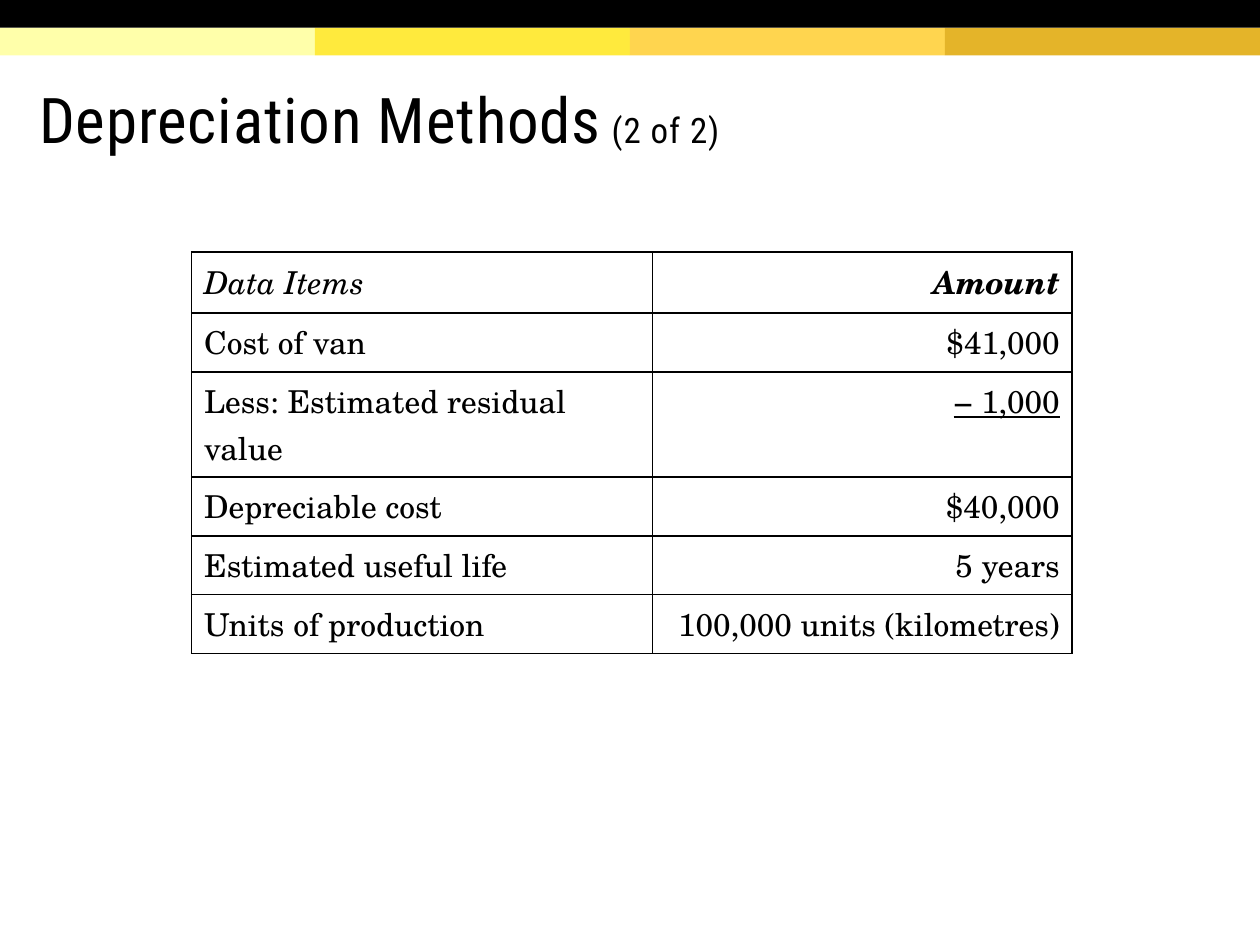
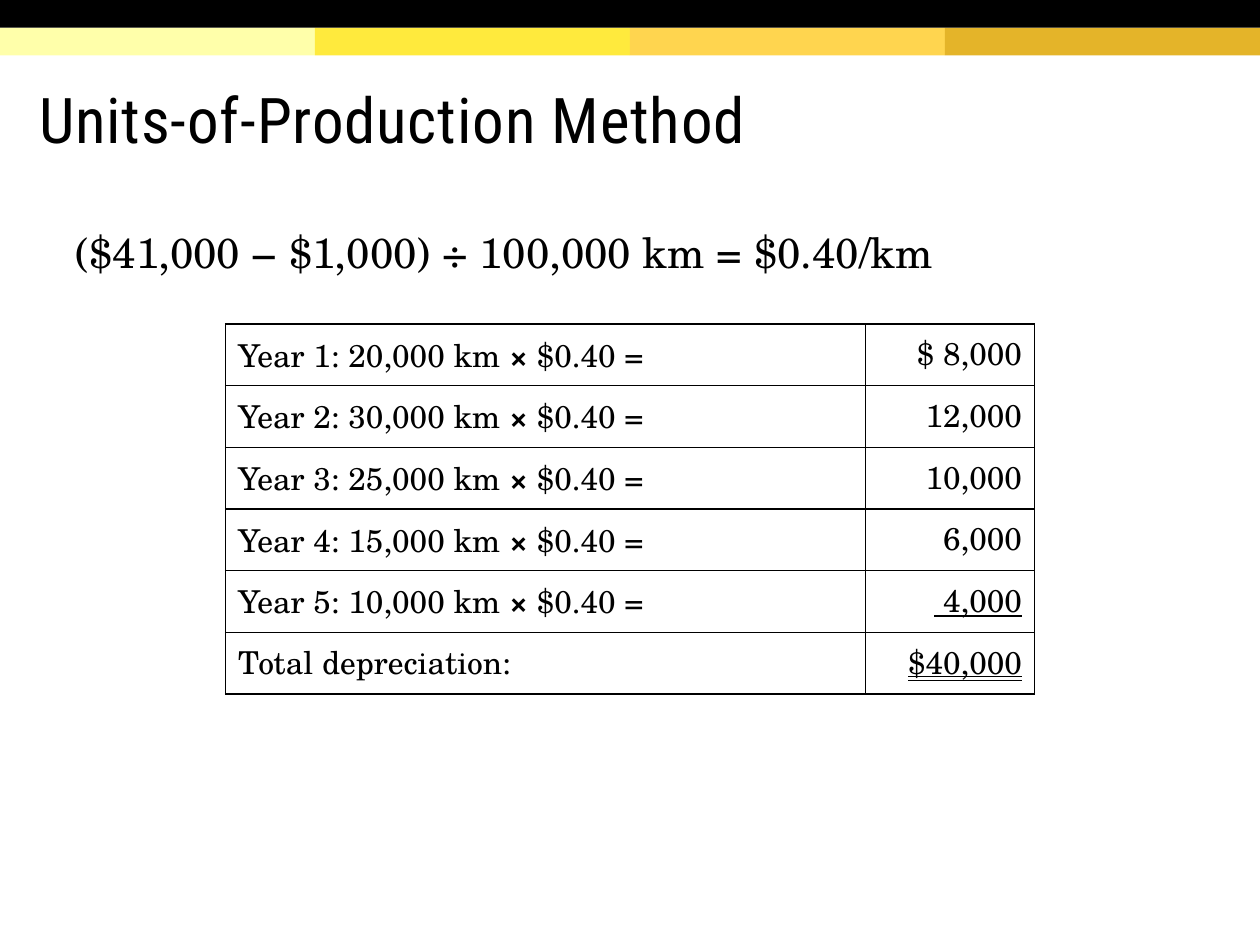
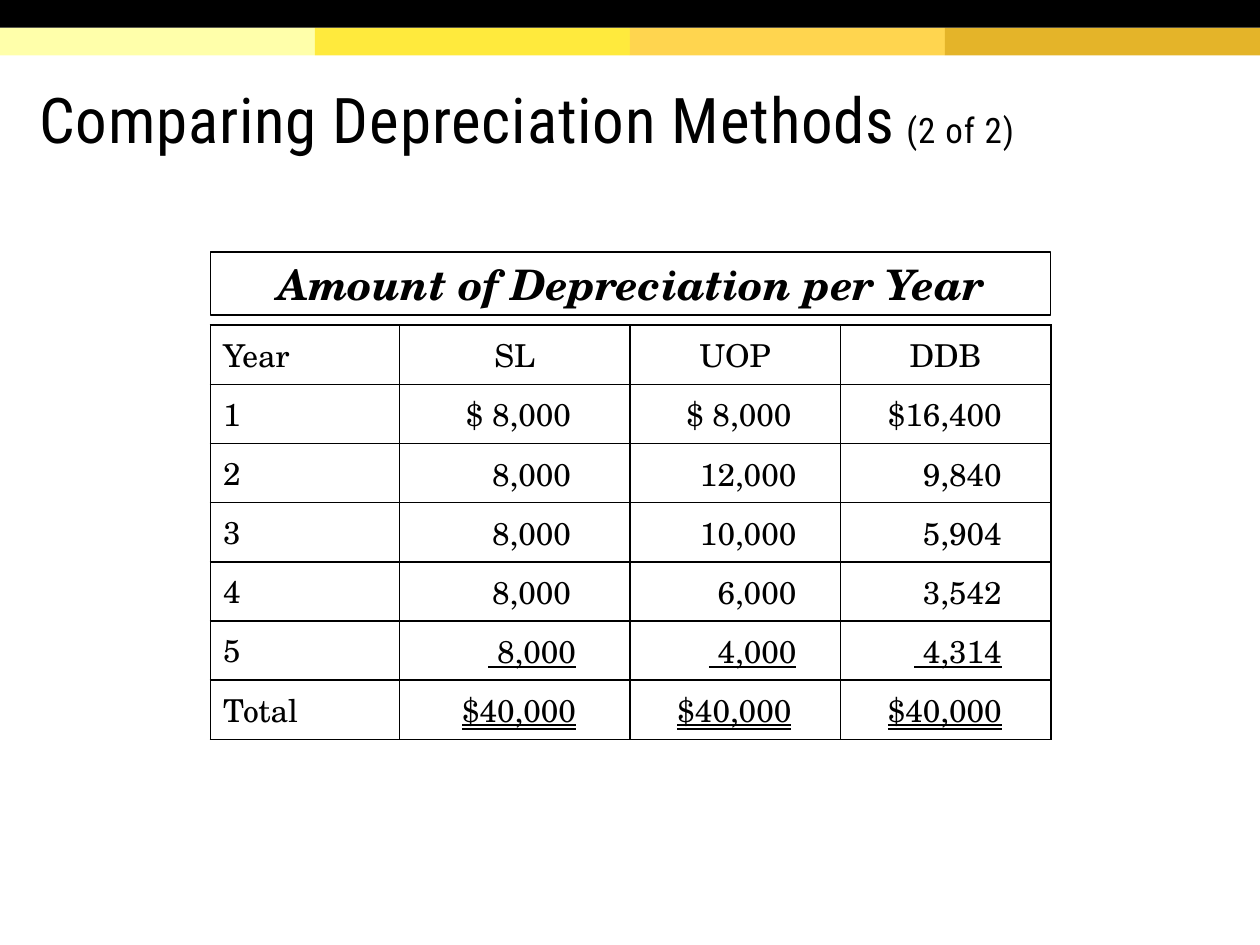
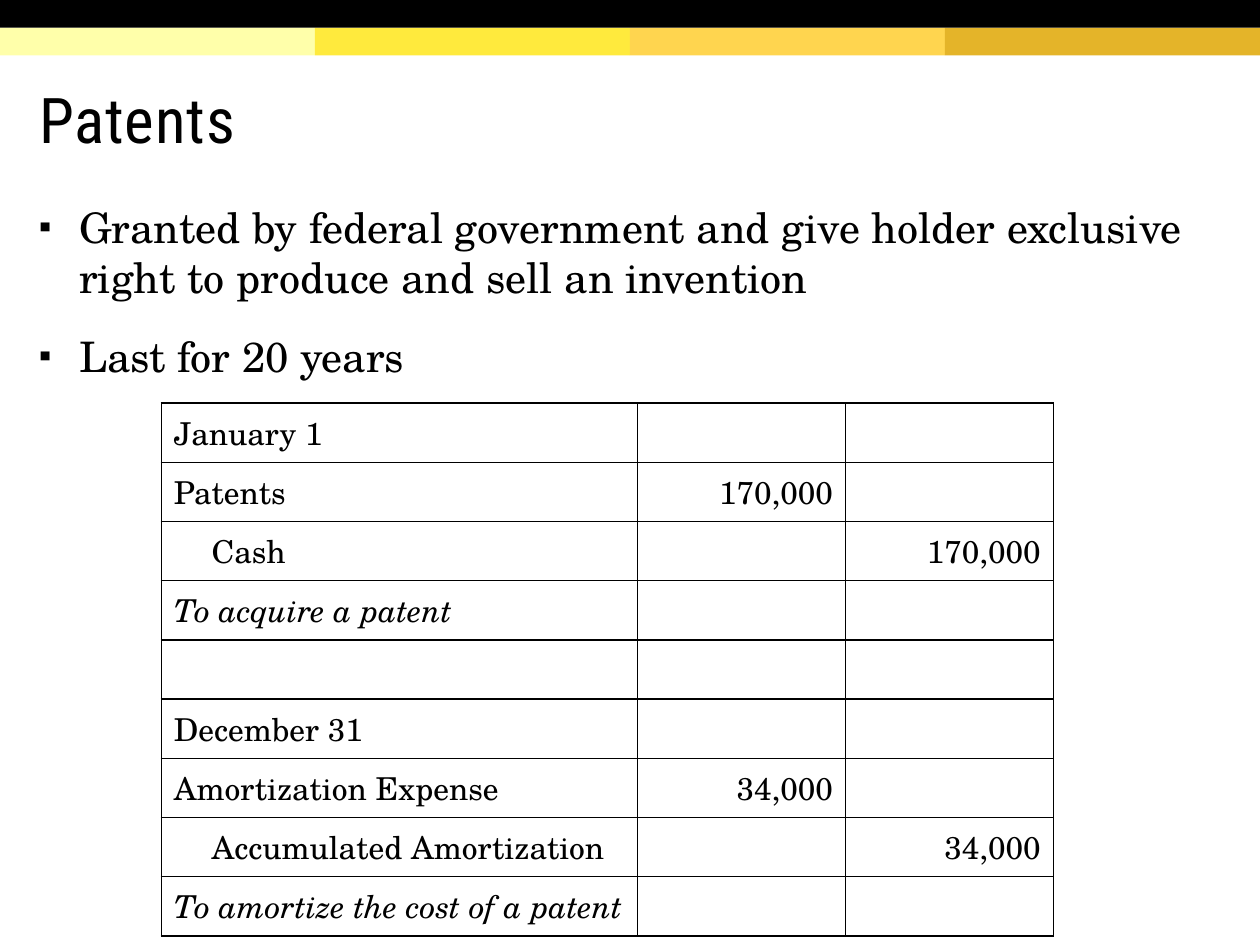
from lxml import etree
from pptx import Presentation
from pptx import util as u
from pptx.dml.color import RGBColor
from pptx.enum import shapes, text
from pptx.oxml import ns

BLACK = RGBColor(0x00, 0x00, 0x00)
BANDS = [
    RGBColor(0xFF, 0xFF, 0xAA),
    RGBColor(0xFF, 0xEA, 0x3D),
    RGBColor(0xFF, 0xD5, 0x4F),
    RGBColor(0xE4, 0xB4, 0x29),
]
TITLE_FONT = "Roboto Condensed"
BODY_FONT = "TeX Gyre Schola"
BULLET_FONT = "Arial"
LEFT, CENTER, RIGHT = text.PP_ALIGN.LEFT, text.PP_ALIGN.CENTER, text.PP_ALIGN.RIGHT
DOUBLE = text.MSO_TEXT_UNDERLINE_TYPE.DOUBLE_LINE
ITALIC = dict(italic=True)
INDENTED = dict(indent=0.3)


def write(para, content, size=18, font=BODY_FONT, color=BLACK, bold=False, italic=False,
          underline=False, tracking=0, align=LEFT, line=None, gap=None, indent=0, hanging=0):
    para.alignment = align
    if line:
        para.line_spacing = line
    if gap is not None:
        para.space_before = para.space_after = u.Pt(gap)
    if indent:
        properties = para._p.get_or_add_pPr()
        properties.set("marL", str(u.Inches(indent)))
        properties.set("indent", str(-u.Inches(hanging)))
    spans = [(content, {})] if isinstance(content, str) else content
    for words, changes in spans:
        span = para.add_run()
        span.text = words
        style = span.font
        style.name = font
        style.size = u.Pt(changes.get("size", size))
        style.bold = changes.get("bold", bold)
        style.italic = italic
        style.underline = underline
        style.color.rgb = color
        if tracking:
            span._r.get_or_add_rPr().set("spc", str(int(tracking * 100)))


def add_bullet(para):
    properties = para._p.get_or_add_pPr()
    color = etree.SubElement(properties, ns.qn("a:buClr"))
    etree.SubElement(color, ns.qn("a:srgbClr"), val=str(BLACK))
    etree.SubElement(properties, ns.qn("a:buSzPct"), val="85000")
    etree.SubElement(properties, ns.qn("a:buFont"), typeface=BULLET_FONT)
    etree.SubElement(properties, ns.qn("a:buChar"), char="▪")


def add_borders(cell):
    properties = cell._tc.get_or_add_tcPr()
    for position, side in enumerate(("lnL", "lnR", "lnT", "lnB")):
        border = etree.Element(ns.qn(f"a:{side}"), w=str(u.Pt(1)))
        fill = etree.SubElement(border, ns.qn("a:solidFill"))
        etree.SubElement(fill, ns.qn("a:srgbClr"), val=str(BLACK))
        properties.insert(position, border)


class Lecture:
    def __init__(self):
        self.deck = Presentation()
        self.deck.slide_width = u.Inches(10)
        self.deck.slide_height = u.Inches(7.5)
        self.page = None

    def start(self, title, part=None):
        self.page = self.deck.slides.add_slide(self.deck.slide_layouts[5])
        for index, color in enumerate(BANDS):
            self.band(2.5 * index, 0.22, 2.5, color)
        self.band(0, 0, 10, BLACK)
        box = self.page.shapes.title
        box.left, box.top = u.Inches(0.21), u.Inches(0.47)
        box.width, box.height = u.Inches(9.49), u.Inches(0.98)
        frame = box.text_frame
        frame.auto_size = text.MSO_AUTO_SIZE.NONE
        frame.vertical_anchor = text.MSO_ANCHOR.MIDDLE
        frame.margin_left = frame.margin_right = frame.margin_top = u.Inches(0.1)
        frame.margin_bottom = u.Inches(0.05)
        spans = [(title, {})]
        if part:
            spans.append((f" ({part})", dict(size=20)))
        write(frame.paragraphs[0], spans, size=36, font=TITLE_FONT, tracking=0.5, line=0.85, gap=0)

    def band(self, left, top, width, color):
        box = self.page.shapes.add_shape(
            shapes.MSO_SHAPE.RECTANGLE,
            u.Inches(left), u.Inches(top), u.Inches(width), u.Inches(0.22))
        box.shadow.inherit = False
        box.fill.solid()
        box.fill.fore_color.rgb = color
        box.line.fill.background()

    def body(self, left, top, width, height, lines, bullets=False, framed=False, **style):
        box = self.page.shapes.add_textbox(
            u.Inches(left), u.Inches(top), u.Inches(width), u.Inches(height))
        frame = box.text_frame
        frame.word_wrap = True
        if framed:
            box.line.color.rgb = BLACK
            box.line.width = u.Pt(0.75)
            frame.vertical_anchor = text.MSO_ANCHOR.MIDDLE
        for index, content in enumerate(lines):
            para = frame.add_paragraph() if index else frame.paragraphs[0]
            write(para, content, size=24, gap=8, **style)
            if bullets:
                add_bullet(para)

    def table(self, left, top, widths, rows, aligns, row_height=0.47):
        table = self.page.shapes.add_table(
            len(rows), len(widths), u.Inches(left), u.Inches(top),
            u.Inches(sum(widths)), u.Inches(row_height * len(rows))).table
        table.first_row = table.horz_banding = False
        for column, width in zip(table.columns, widths):
            column.width = u.Inches(width)
        for row_index, row in enumerate(rows):
            table.rows[row_index].height = u.Inches(row_height)
            for column_index, entry in enumerate(row):
                cell = table.cell(row_index, column_index)
                cell.fill.background()
                add_borders(cell)
                content, style = entry if isinstance(entry, tuple) else (entry, {})
                style = dict(align=aligns[column_index]) | style
                inset = style.pop("inset", None)
                if inset:
                    cell.margin_left = cell.margin_top = cell.margin_bottom = 0
                    cell.margin_right = u.Inches(inset)
                    style["line"] = 1.15
                if content:
                    write(cell.text_frame.paragraphs[0], content, **style)


def methods_slide(lecture):
    lecture.start("Depreciation Methods", "2 of 2")
    lecture.table(1.52, 2, [3.66, 3.33], [
        [("Data Items", ITALIC), ("Amount", dict(bold=True, italic=True))],
        ["Cost of van", "$41,000"],
        ["Less: Estimated residual value", ("− 1,000", dict(underline=True))],
        ["Depreciable cost", "$40,000"],
        ["Estimated useful life", "5 years"],
        ["Units of production", "100,000 units (kilometres)"],
    ], [LEFT, RIGHT], row_height=0.41)


def production_slide(lecture):
    lecture.start("Units-of-Production Method")
    lecture.body(0.5, 1.75, 9, 0.58, ["($41,000 − $1,000) ÷ 100,000 km = $0.40/km"])
    distances = ["20,000", "30,000", "25,000", "15,000", "10,000"]
    amounts = ["$ 8,000", "12,000", "10,000", "6,000", (" 4,000", dict(underline=True))]
    rows = []
    for year, (distance, amount) in enumerate(zip(distances, amounts), 1):
        formula = [(f"Year {year}: {distance} km ", {}), ("×", dict(bold=True)), (" $0.40 =", {})]
        rows.append([(formula, {}), amount])
    rows.append(["Total depreciation:", ("$40,000", dict(underline=DOUBLE))])
    lecture.table(1.79, 2.57, [5.08, 1.34], rows, [LEFT, RIGHT], row_height=0.49)


def comparison_slide(lecture):
    lecture.start("Comparing Depreciation Methods", "2 of 2")
    lecture.body(1.67, 2, 6.67, 0.5, ["Amount of Depreciation per Year"],
                 framed=True, bold=True, italic=True, align=CENTER)
    middle, wide, narrow = 0.39, 0.47, 0.35
    years = [
        ("1", ["$ 8,000", "$ 8,000", "$16,400"], [wide, middle, middle], False),
        ("2", ["8,000", "12,000", "9,840"], [wide, narrow, middle], False),
        ("3", ["8,000", "10,000", "5,904"], [wide, narrow, middle], False),
        ("4", ["8,000", "6,000", "3,542"], [wide, narrow, middle], False),
        ("5", [" 8,000", " 4,000", " 4,314"], [0.43, narrow, middle], True),
        ("Total", ["$40,000"] * 3, [0.43, middle, middle], DOUBLE),
    ]
    rows = [["Year", *((name, dict(align=CENTER)) for name in ("SL", "UOP", "DDB"))]]
    for year, amounts, insets, underline in years:
        rows.append([year, *((amount, dict(inset=inset, underline=underline))
                             for amount, inset in zip(amounts, insets))])
    lecture.table(1.67, 2.58, [1.5, 1.83, 1.67, 1.67], rows, [LEFT, RIGHT, RIGHT, RIGHT])


def patents_slide(lecture):
    lecture.start("Patents")
    lecture.body(0.21, 1.55, 9.49, 1.56, [
        "Granted by federal government and give holder exclusive right to produce and sell an invention",
        "Last for 20 years",
    ], bullets=True, indent=0.32, hanging=0.32)
    lecture.table(1.28, 3.2, [3.78, 1.65, 1.65], [
        ["January 1", "", ""],
        ["Patents", "170,000", ""],
        [("Cash", INDENTED), "", "170,000"],
        [("To acquire a patent", ITALIC), "", ""],
        ["", "", ""],
        ["December 31", "", ""],
        ["Amortization Expense", "34,000", ""],
        [("Accumulated Amortization", INDENTED), "", "34,000"],
        [("To amortize the cost of a patent", ITALIC), "", ""],
    ], [LEFT, RIGHT, RIGHT])


def main():
    lecture = Lecture()
    for build in (methods_slide, production_slide, comparison_slide, patents_slide):
        build(lecture)
    lecture.deck.save("out.pptx")


if __name__ == "__main__":
    main()
